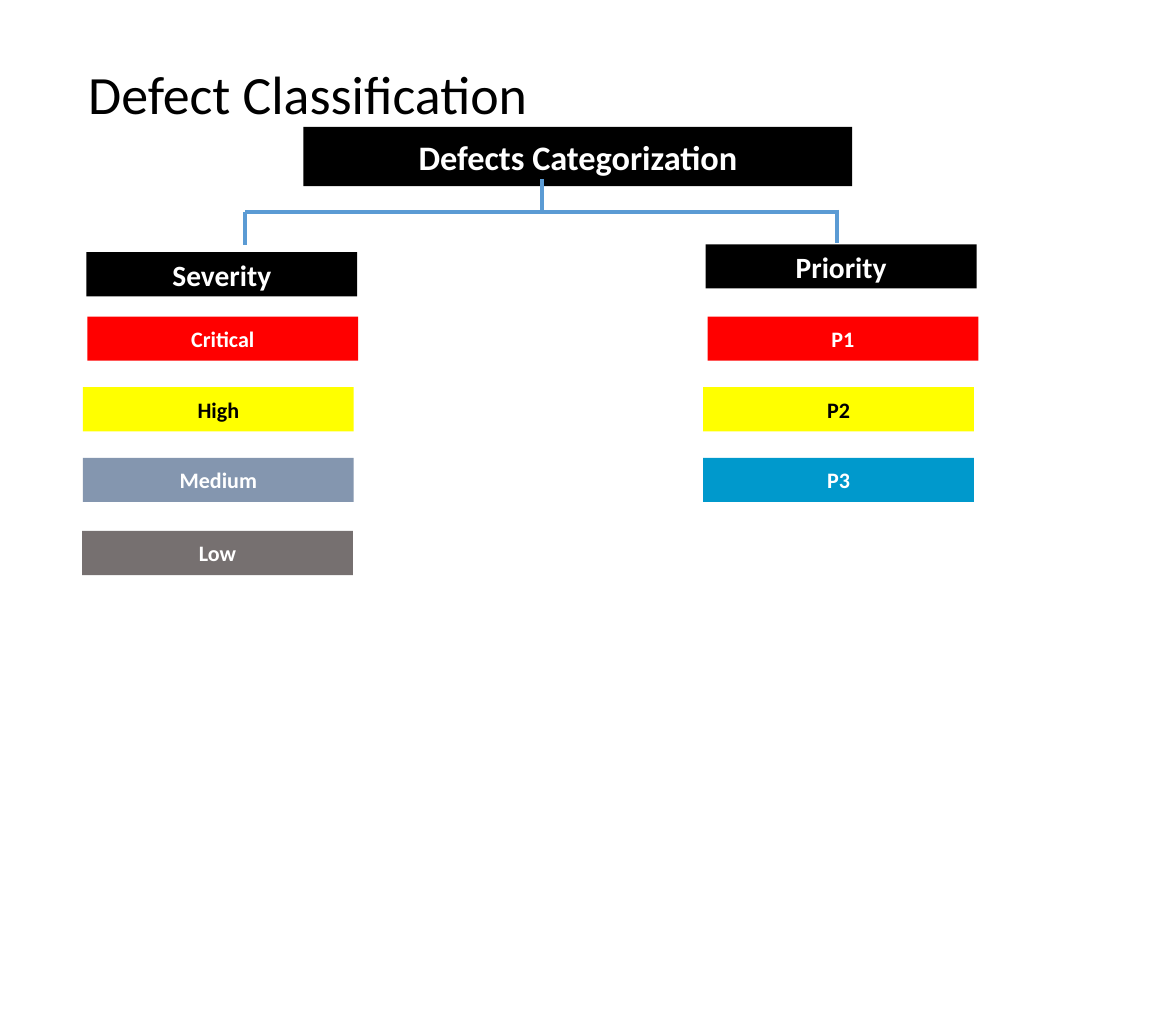
from pptx import Presentation
from pptx.dml.color import RGBColor
from pptx.enum.shapes import MSO_CONNECTOR, MSO_SHAPE
from pptx.enum.text import MSO_ANCHOR, PP_ALIGN
from pptx.oxml.ns import qn
from pptx.util import Inches, Pt
from lxml import etree

RECT = MSO_SHAPE.RECTANGLE
STRAIGHT = MSO_CONNECTOR.STRAIGHT
MIDDLE = MSO_ANCHOR.MIDDLE
LEFT, CENTER = PP_ALIGN.LEFT, PP_ALIGN.CENTER

COLORS = {
    "black": "000000",
    "white": "FFFFFF",
    "red": "FF0000",
    "yellow": "FFFF00",
    "slate": "8496AF",
    "gray": "767070",
    "blue": "0099CC",
    "line": "5B9BD4",
}


def rgb(name):
    return RGBColor.from_string(COLORS[name])


def write_text(sp, text, size, color, bold, align):
    tf = sp.text_frame
    frame_format = {
        "margin_left": 0, "margin_top": 0, "margin_right": 0, "margin_bottom": 0,
        "word_wrap": True, "vertical_anchor": MIDDLE,
    }
    for name, value in frame_format.items():
        setattr(tf, name, value)
    p = tf.paragraphs[0]
    p.alignment = align
    r = p.add_run()
    r.text = text
    for name, value in {"name": "Calibri", "size": Pt(size), "bold": bold}.items():
        setattr(r.font, name, value)
    r.font.color.rgb = rgb(color)


prs = Presentation()
prs.slide_width, prs.slide_height = Inches(13.33), Inches(11.7)
slide = prs.slides.add_slide(prs.slide_layouts[5])

title = slide.shapes.title
title_box = {"left": 1, "top": 0.67, "width": 5.02, "height": 0.76}
for name, value in title_box.items():
    setattr(title, name, Inches(value))
write_text(title, "Defect Classification", 44, "black", False, LEFT)

BOX_W, BOX_H = 3.07, 0.5
boxes = [
    ("Defects Categorization", 3.44, 1.44, 6.22, 0.67, 28, "black"),
    ("Severity", 0.98, 2.86, BOX_W, BOX_H, 24, "black"),
    ("Priority", 8, 2.77, BOX_W, BOX_H, 24, "black"),
]
level_tops = [3.59, 4.39, 5.19, 6.02]
severities = [
    ("Critical", 0.99, "red"),
    ("High", 0.94, "yellow"),
    ("Medium", 0.94, "slate"),
    ("Low", 0.93, "gray"),
]
priorities = [("P1", 8.02, "red"), ("P2", 7.97, "yellow"), ("P3", 7.97, "blue")]
for levels in (severities, priorities):
    for (text, left, fill), top in zip(levels, level_tops):
        boxes.append((text, left, top, BOX_W, BOX_H, 18, fill))

for text, left, top, width, height, size, fill in boxes:
    sp = slide.shapes.add_shape(
        RECT, Inches(left), Inches(top), Inches(width), Inches(height))
    sp.shadow.inherit = False
    sp.fill.solid()
    sp.fill.fore_color.rgb = rgb(fill)
    sp.line.fill.background()
    text_color = "black" if fill == "yellow" else "white"
    write_text(sp, text, size, text_color, True, CENTER)

branches = [
    (2.78, 2.4, 9.49, 2.4),
    (2.78, 2.4, 2.78, 2.78),
    (9.49, 2.38, 9.49, 2.76),
    (6.14, 2.03, 6.14, 2.4),
]
for branch in branches:
    line = slide.shapes.add_connector(STRAIGHT, *[Inches(v) for v in branch])
    line.line.color.rgb = rgb("line")
    line.line.width = Pt(3)
    etree.SubElement(line._element.spPr, qn("a:effectLst"))

prs.save("out.pptx")
